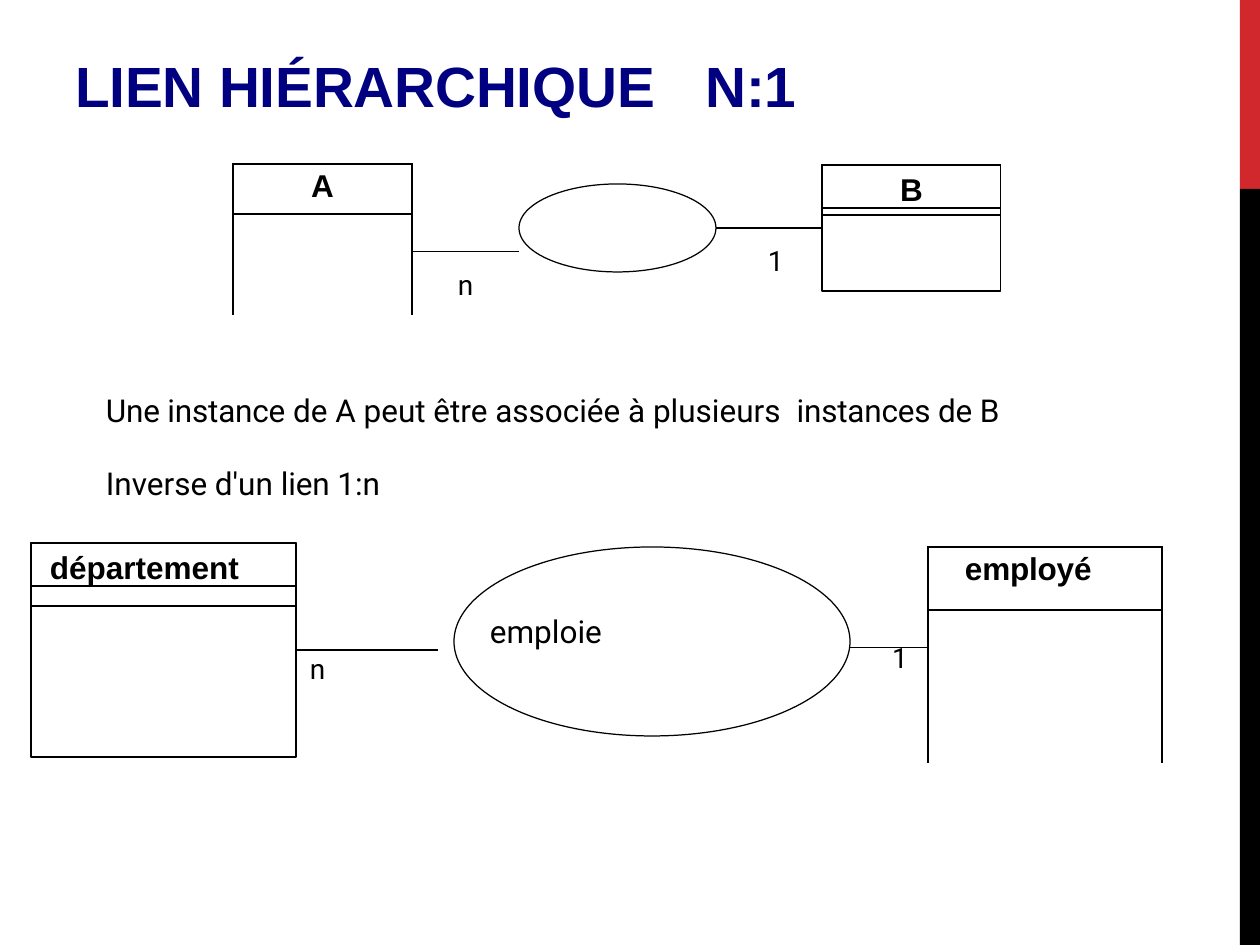
from lxml import etree
from pptx import Presentation
from pptx.dml.color import RGBColor
from pptx.enum.shapes import MSO_CONNECTOR as Connector, MSO_SHAPE as Shape
from pptx.enum.text import MSO_ANCHOR as Anchor, PP_ALIGN as Align
from pptx.oxml.ns import qn
from pptx.util import Pt

PX = 914400 // 126
BLACK, NAVY, RED = "000000", "000080", "D1282E"
EDGES = {"l": "a:lnL", "r": "a:lnR", "t": "a:lnT", "b": "a:lnB"}

HEADING = ("Arial", 18, True)
BODY = ("Roboto", 18, False)
LABEL = ("Roboto", 16, False)

BARS = [((1240, 0, 20, 189), RED), ((1240, 189, 20, 756), BLACK)]
TITLE = [{"runs": [("LIEN HIÉRARCHIQUE\tN:1", -0.1)], "style": ("Arial", 32.4, True), "color": NAVY}]
EXPLANATION = [
    {"runs": [("Une instance ", -0.1), ("de A peut être associée à plusieurs  ", 0),
              ("instances de ", -0.1), ("B", 0)],
     "style": BODY, "indent": 1, "line": 20.8, "before": 2.4},
    {"runs": [("Inverse d'un ", 0), ("lien ", -0.1), ("1:n", 0)],
     "style": BODY, "indent": 1, "line": 20.8, "before": 20.9},
]
LINK = [
    {"runs": [("emploie", 0)], "style": BODY, "indent": 181, "before": 1},
    {"runs": [("n", 0)], "style": LABEL, "indent": 1, "before": 0.9},
]
ONE = [{"runs": [("1", 0)], "style": LABEL, "indent": 1, "before": 1}]
TEXTS = [((105, 388, 974, 115), 4, EXPLANATION), ((767, 243, 28, 35), 1, ONE),
         ((309, 611, 415, 77), 1, LINK)]

ENTITIES = {
    "B": {"box": (822, 165, 179, 126), "divider": 215, "align": Align.CENTER},
    "département": {"box": (31, 543, 265, 214), "divider": 606, "indent": 19},
}
OVALS = [(519, 184, 197, 88), (454, 547, 396, 189)]

TABLES = [
    {"at": (233, 164), "columns": (179, 107), "rows": (50, 36, 63), "cells": [
        (0, 0, 1, "lrtb", 5, {"runs": [("A", 0)], "style": HEADING, "align": Align.CENTER, "before": 2.9}),
        (1, 0, 2, "lrtb", 0, None),
        (0, 1, 2, "lb", 0, None),
        (2, 1, 1, "lt", 18, {"runs": [("n", 0)], "style": LABEL, "align": Align.CENTER, "before": 9.8}),
    ]},
    {"at": (850, 547), "columns": (78, 234), "rows": (63, 36, 115), "cells": [
        (0, 0, 2, "rb", 0, None),
        (2, 0, 1, "rt", 0, {"runs": [("1", 0)], "style": LABEL, "indent": 42, "line": 15.4}),
        (0, 1, 1, "lrtb", 5, {"runs": [("employé", -0.1)], "style": HEADING, "indent": 37, "before": 2.9}),
        (1, 1, 2, "lrtb", 0, None),
    ]},
]


def px(*values):
    return [value * PX for value in values]


def rgb(color):
    return RGBColor.from_string(color)


def write(frame, paragraphs):
    for index, item in enumerate(paragraphs):
        paragraph = frame.add_paragraph() if index else frame.paragraphs[0]
        paragraph.alignment = item.get("align", Align.LEFT)
        paragraph.space_before = Pt(item.get("before", 0))
        if "line" in item:
            paragraph.line_spacing = Pt(item["line"])
        if "indent" in item:
            paragraph._p.get_or_add_pPr().set("marL", str(item["indent"] * PX))
        for text, spacing in item["runs"]:
            run = paragraph.add_run()
            run.text = text
            font = run.font
            font.name, size, font.bold = item["style"]
            font.size = Pt(size)
            font.color.rgb = rgb(item.get("color", BLACK))
            if spacing:
                run._r.get_or_add_rPr().set("spc", str(round(spacing * 100)))


def set_frame(frame, paragraphs, top):
    frame.word_wrap = True
    frame.vertical_anchor = Anchor.TOP
    frame.margin_left = frame.margin_right = frame.margin_bottom = 0
    frame.margin_top = top * PX
    write(frame, paragraphs)


def add_shape(slide, kind, box, fill=None):
    shape = slide.shapes.add_shape(kind, *px(*box))
    shape.shadow.inherit = False
    if fill:
        shape.fill.solid()
        shape.fill.fore_color.rgb = rgb(fill)
        shape.line.fill.background()
    else:
        shape.fill.background()
        shape.line.color.rgb = rgb(BLACK)
        shape.line.width = Pt(0.72)
    return shape


def add_line(slide, x1, x2, y):
    line = slide.shapes.add_connector(Connector.STRAIGHT, *px(x1, y, x2, y))
    line.line.color.rgb = rgb(BLACK)
    line.line.width = Pt(0.72)
    etree.SubElement(line._element.spPr, qn("a:effectLst"))
    return line


def set_borders(cell, edges):
    properties = cell._tc.get_or_add_tcPr()
    for edge, tag in EDGES.items():
        border = etree.SubElement(properties, qn(tag), w=str(Pt(0.75)))
        if edge in edges:
            fill = etree.SubElement(border, qn("a:solidFill"))
            etree.SubElement(fill, qn("a:srgbClr"), val=BLACK)
        else:
            etree.SubElement(border, qn("a:noFill"))
    cell.fill.background()


def add_entity_table(slide, data):
    columns, rows = data["columns"], data["rows"]
    size = px(*data["at"], sum(columns), sum(rows))
    table = slide.shapes.add_table(len(rows), len(columns), *size).table
    table.first_row = table.horz_banding = False
    for column, width in zip(table.columns, columns):
        column.width = width * PX
    for row, height in zip(table.rows, rows):
        row.height = height * PX
    for top, column, span, edges, margin, paragraph in data["cells"]:
        last = top + span - 1
        for row in range(top, last + 1):
            cell = table.cell(row, column)
            cell.margin_left = cell.margin_right = cell.margin_bottom = 0
            cell.margin_top = margin * PX
            hidden = ("t" if row > top else "") + ("b" if row < last else "")
            set_borders(cell, [edge for edge in edges if edge not in hidden])
        if span > 1:
            table.cell(top, column).merge(table.cell(last, column))
        if paragraph:
            write(table.cell(top, column).text_frame, [paragraph])


def add_entity(slide, name, data):
    left, top, width, height = data["box"]
    body = add_shape(slide, Shape.RECTANGLE, data["box"])
    header = add_shape(slide, Shape.RECTANGLE, (left, top, width, 43))
    paragraph = {"runs": [(name, 0)], "style": HEADING, "before": 2.9, **data}
    set_frame(header.text_frame, [paragraph], 5)
    add_line(slide, left, left + width, data["divider"])
    return body


def main():
    presentation = Presentation()
    presentation.slide_width, presentation.slide_height = px(1260, 945)
    slide = presentation.slides.add_slide(presentation.slide_layouts[6])
    for box, color in BARS:
        add_shape(slide, Shape.RECTANGLE, box, color)
    title = slide.shapes.add_textbox(*px(63, 38, 1134, 87)).text_frame
    title.word_wrap = True
    title.vertical_anchor = Anchor.BOTTOM
    write(title, TITLE)
    for box in OVALS:
        add_shape(slide, Shape.OVAL, box)
    bodies = {name: add_entity(slide, name, data) for name, data in ENTITIES.items()}
    add_line(slide, 716, 822, 228).end_connect(bodies["B"], 1)
    add_line(slide, 296, 438, 650).begin_connect(bodies["département"], 3)
    for data in TABLES:
        add_entity_table(slide, data)
    for box, top, paragraphs in TEXTS:
        set_frame(slide.shapes.add_textbox(*px(*box)).text_frame, paragraphs, top)
    presentation.save("out.pptx")


if __name__ == "__main__":
    main()
